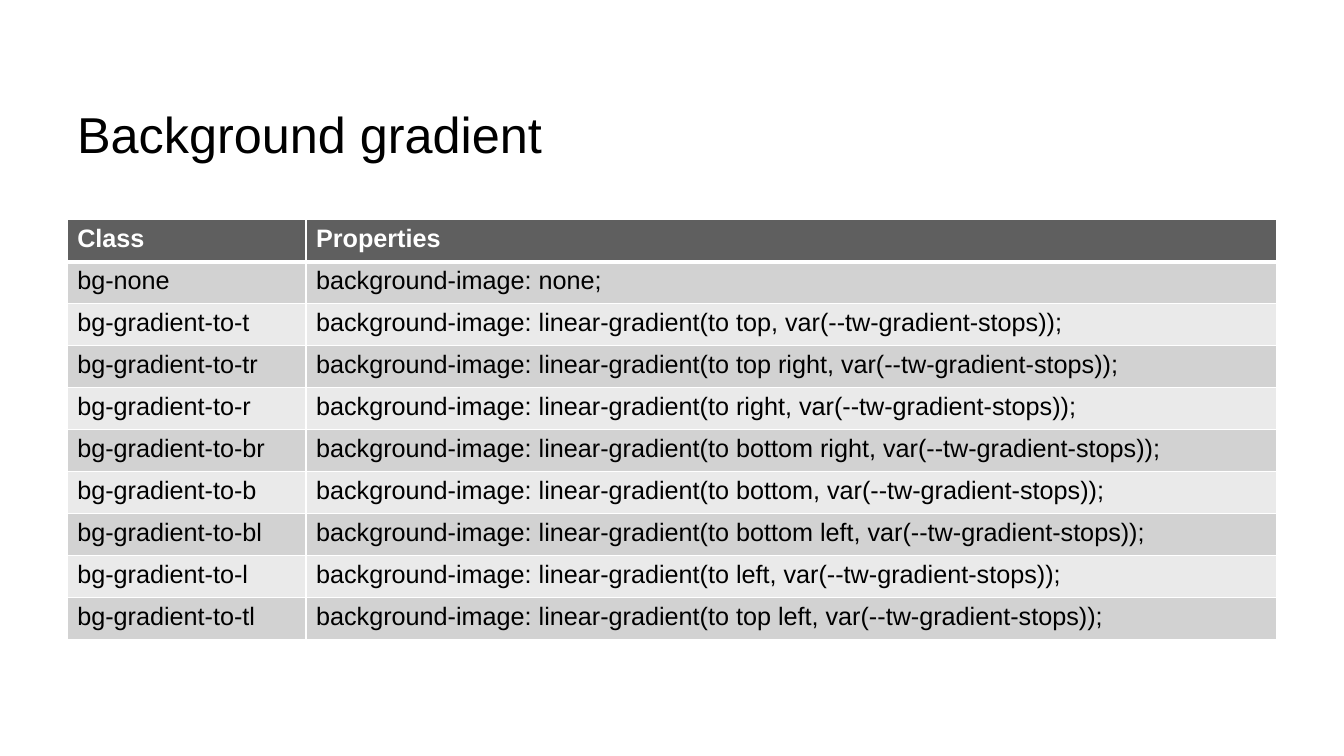
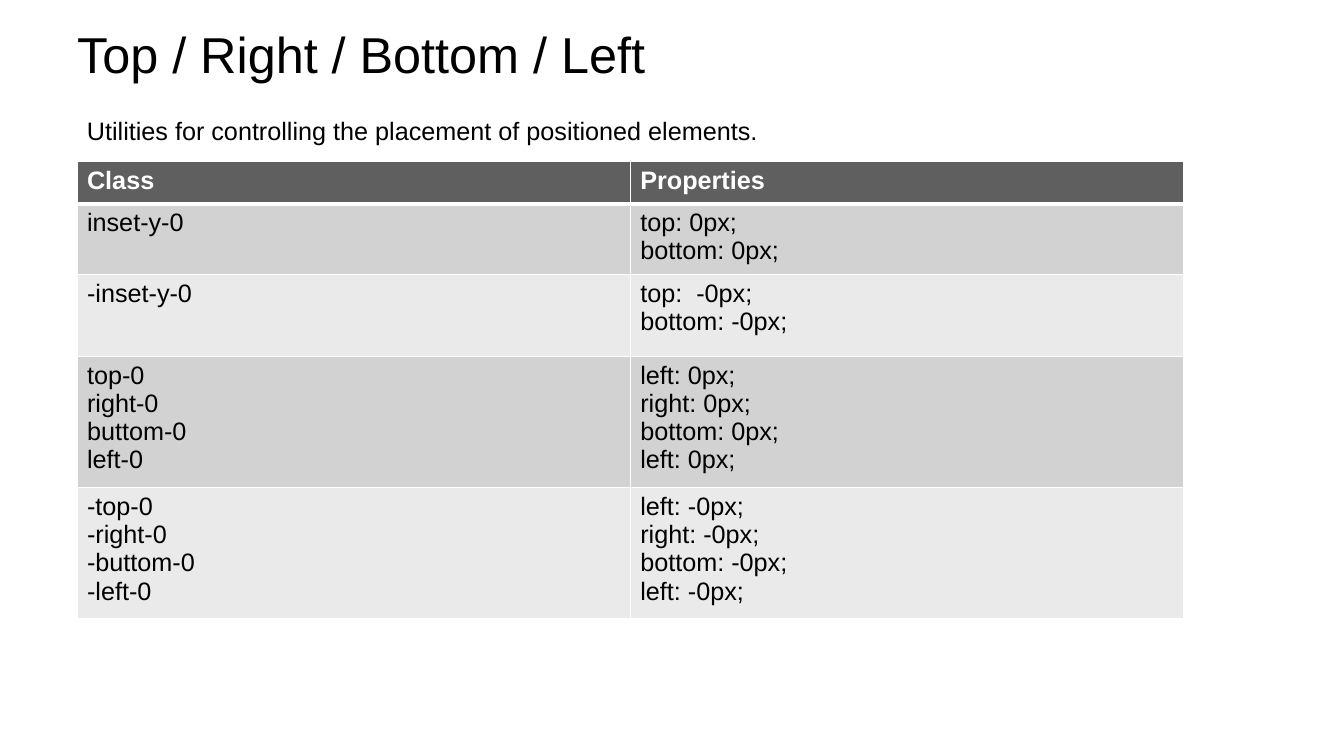
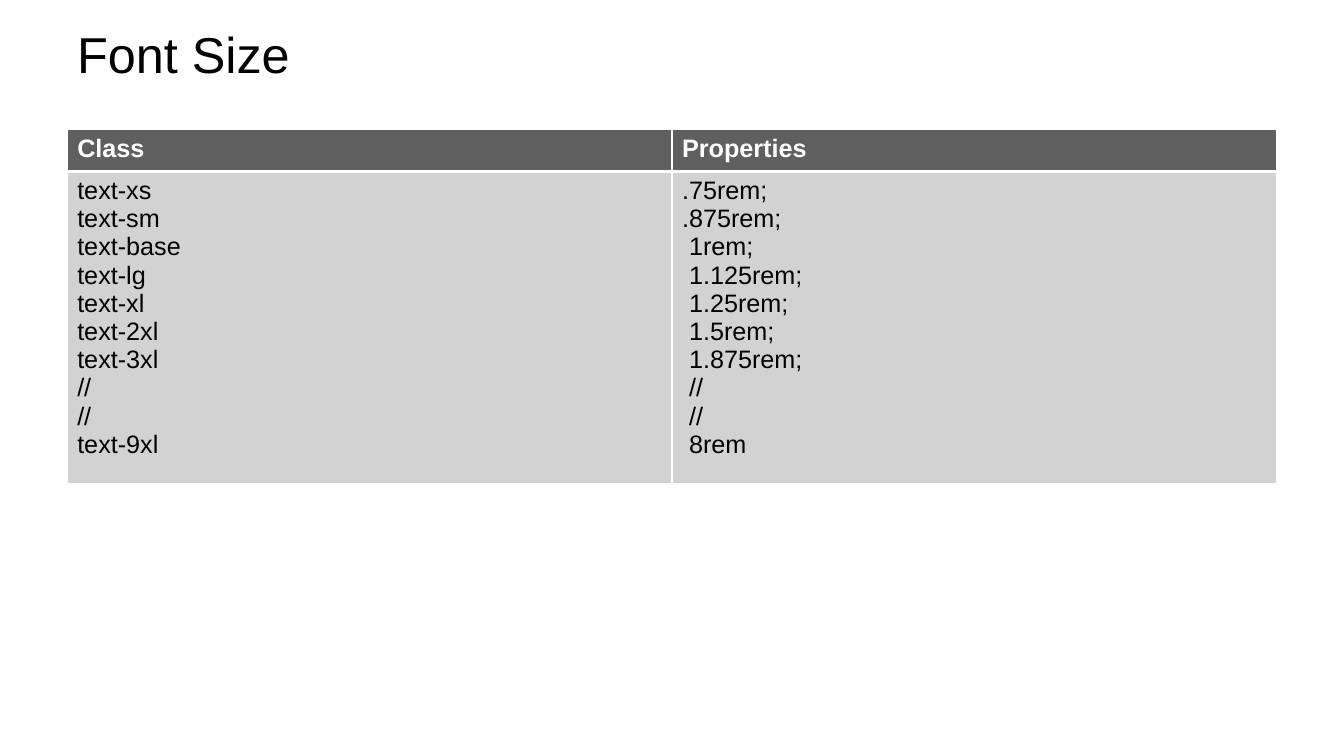
import pptx
import pptx.util
import pptx.dml.color
import pptx.enum.text
import pptx.oxml
import pptx.oxml.ns
import lxml.etree

Pt = pptx.util.Pt
RGBColor = pptx.dml.color.RGBColor
MSO_ANCHOR = pptx.enum.text.MSO_ANCHOR

BLACK = RGBColor(0x00, 0x00, 0x00)
WHITE = RGBColor(0xFF, 0xFF, 0xFF)
HEADER_FILL = RGBColor(0x5F, 0x5F, 0x5F)
BAND_FILLS = (RGBColor(0xD2, 0xD2, 0xD2), RGBColor(0xEA, 0xEA, 0xEA))

FONT = "Arial"
TITLE_SIZE = 36
BODY_SIZE = 18
THIN = 1
THICK = 3
LEFT = 48
WIDTH = 864
TITLE_HEIGHT = 46
ROW_HEIGHT = 30
HEADER = ("Class", "Properties")

GRADIENT_DIRECTIONS = (
    ("t", "top"),
    ("tr", "top right"),
    ("r", "right"),
    ("br", "bottom right"),
    ("b", "bottom"),
    ("bl", "bottom left"),
    ("l", "left"),
    ("tl", "top left"),
)
GRADIENT_ROWS = [("bg-none", "background-image: none;")] + [
    (
        f"bg-gradient-to-{suffix}",
        f"background-image: linear-gradient(to {direction}, var(--tw-gradient-stops));",
    )
    for suffix, direction in GRADIENT_DIRECTIONS
]
PLACEMENT_ROWS = [
    ("inset-y-0", "top: 0px;\nbottom: 0px;"),
    ("-inset-y-0", "top:  -0px;\nbottom: -0px;"),
    (
        "top-0\nright-0\nbuttom-0\nleft-0",
        "left: 0px;\nright: 0px;\nbottom: 0px;\nleft: 0px;",
    ),
    (
        "-top-0\n-right-0\n-buttom-0\n-left-0",
        "left: -0px;\nright: -0px;\nbottom: -0px;\nleft: -0px;",
    ),
]
FONT_SIZE_ROWS = [
    (
        "text-xs\ntext-sm\ntext-base\ntext-lg\ntext-xl\ntext-2xl\ntext-3xl\n//\n//\ntext-9xl",
        ".75rem;\n.875rem;\n 1rem;\n 1.125rem;\n 1.25rem;\n 1.5rem;\n 1.875rem;\n //\n //\n 8rem",
    ),
]


def write_text(text_frame, text, size, color=BLACK, bold=False):
    for index, line in enumerate(text.split("\n")):
        paragraph = text_frame.paragraphs[0] if index == 0 else text_frame.add_paragraph()
        run = paragraph.add_run()
        run.text = line
        run.font.name = FONT
        run.font.size = Pt(size)
        run.font.bold = bold
        run.font.color.rgb = color


def add_text(slide, box, text, size, anchor=MSO_ANCHOR.TOP):
    shape = slide.shapes.add_textbox(*map(Pt, box))
    shape.text_frame.word_wrap = True
    shape.text_frame.vertical_anchor = anchor
    write_text(shape.text_frame, text, size)


def add_title_slide(presentation, title, top):
    slide = presentation.slides.add_slide(presentation.slide_layouts[6])
    add_text(slide, (LEFT, top, WIDTH, TITLE_HEIGHT), title, TITLE_SIZE, MSO_ANCHOR.MIDDLE)
    return slide


def set_borders(cell, top, bottom):
    properties = cell._tc.get_or_add_tcPr()
    widths = {"a:lnL": THIN, "a:lnR": THIN, "a:lnT": top, "a:lnB": bottom}
    for index, (tag, width) in enumerate(widths.items()):
        line = lxml.etree.Element(pptx.oxml.ns.qn(tag), w=str(Pt(width)))
        fill = lxml.etree.SubElement(line, pptx.oxml.ns.qn("a:solidFill"))
        lxml.etree.SubElement(fill, pptx.oxml.ns.qn("a:srgbClr"), val=str(WHITE))
        properties.insert(index, line)


def add_class_table(slide, left, top, column_widths, body_heights, body_rows):
    rows = [HEADER] + body_rows
    heights = [ROW_HEIGHT] + body_heights
    frame = slide.shapes.add_table(
        len(rows), len(HEADER), Pt(left), Pt(top), Pt(sum(column_widths)), Pt(sum(heights))
    )
    table = frame.table
    table.first_row = False
    table.horz_banding = False
    for column, width in zip(table.columns, column_widths):
        column.width = Pt(width)
    for row_index, (texts, height) in enumerate(zip(rows, heights)):
        is_header = row_index == 0
        table.rows[row_index].height = Pt(height)
        for column_index, text in enumerate(texts):
            cell = table.cell(row_index, column_index)
            cell.fill.solid()
            cell.fill.fore_color.rgb = (
                HEADER_FILL if is_header else BAND_FILLS[(row_index - 1) % 2]
            )
            set_borders(
                cell,
                top=THICK if row_index == 1 else THIN,
                bottom=THICK if is_header else THIN,
            )
            write_text(
                cell.text_frame, text, BODY_SIZE, WHITE if is_header else BLACK, is_header
            )


def build_gradient_slide(presentation):
    slide = add_title_slide(presentation, "Background gradient", 72)
    heights = [ROW_HEIGHT] * len(GRADIENT_ROWS)
    add_class_table(slide, LEFT, 157, (170.6, 693.4), heights, GRADIENT_ROWS)


def build_placement_slide(presentation):
    slide = add_title_slide(presentation, "Top / Right / Bottom / Left", 15)
    left = 55
    add_text(
        slide,
        (left, 78.5, 694, 29),
        "Utilities for controlling the placement of positioned elements.",
        BODY_SIZE,
    )
    heights = [50.4, 58.6, 93.6, 93.6]
    add_class_table(slide, left, 115.6, (395.2, 395.2), heights, PLACEMENT_ROWS)


def build_font_size_slide(presentation):
    slide = add_title_slide(presentation, "Font Size", 15)
    add_class_table(slide, LEFT, 92.5, (WIDTH / 2, WIDTH / 2), [208], FONT_SIZE_ROWS)


def main():
    presentation = pptx.Presentation()
    presentation.slide_width = Pt(960)
    presentation.slide_height = Pt(540)
    build_gradient_slide(presentation)
    build_placement_slide(presentation)
    build_font_size_slide(presentation)
    presentation.save("out.pptx")


if __name__ == "__main__":
    main()
